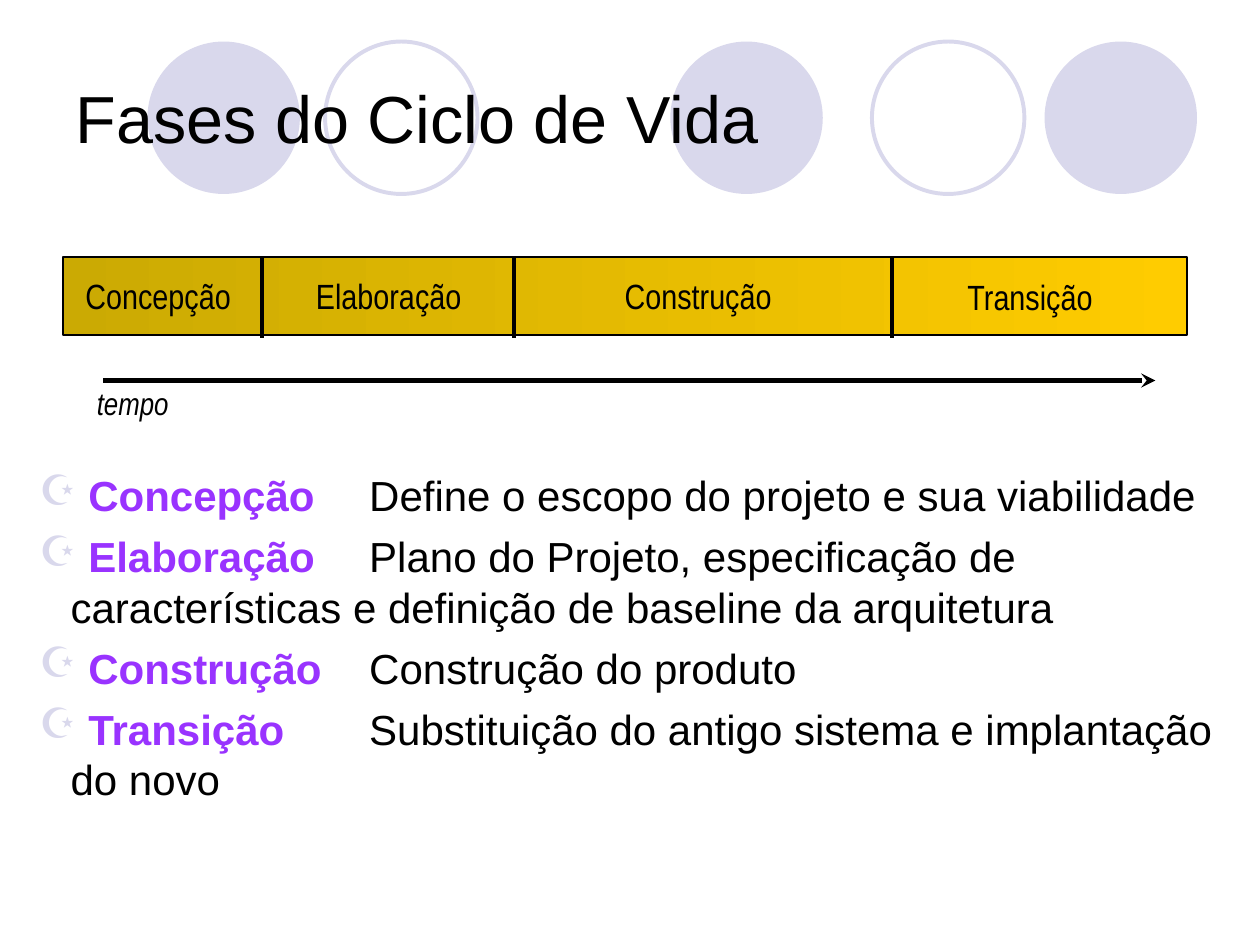
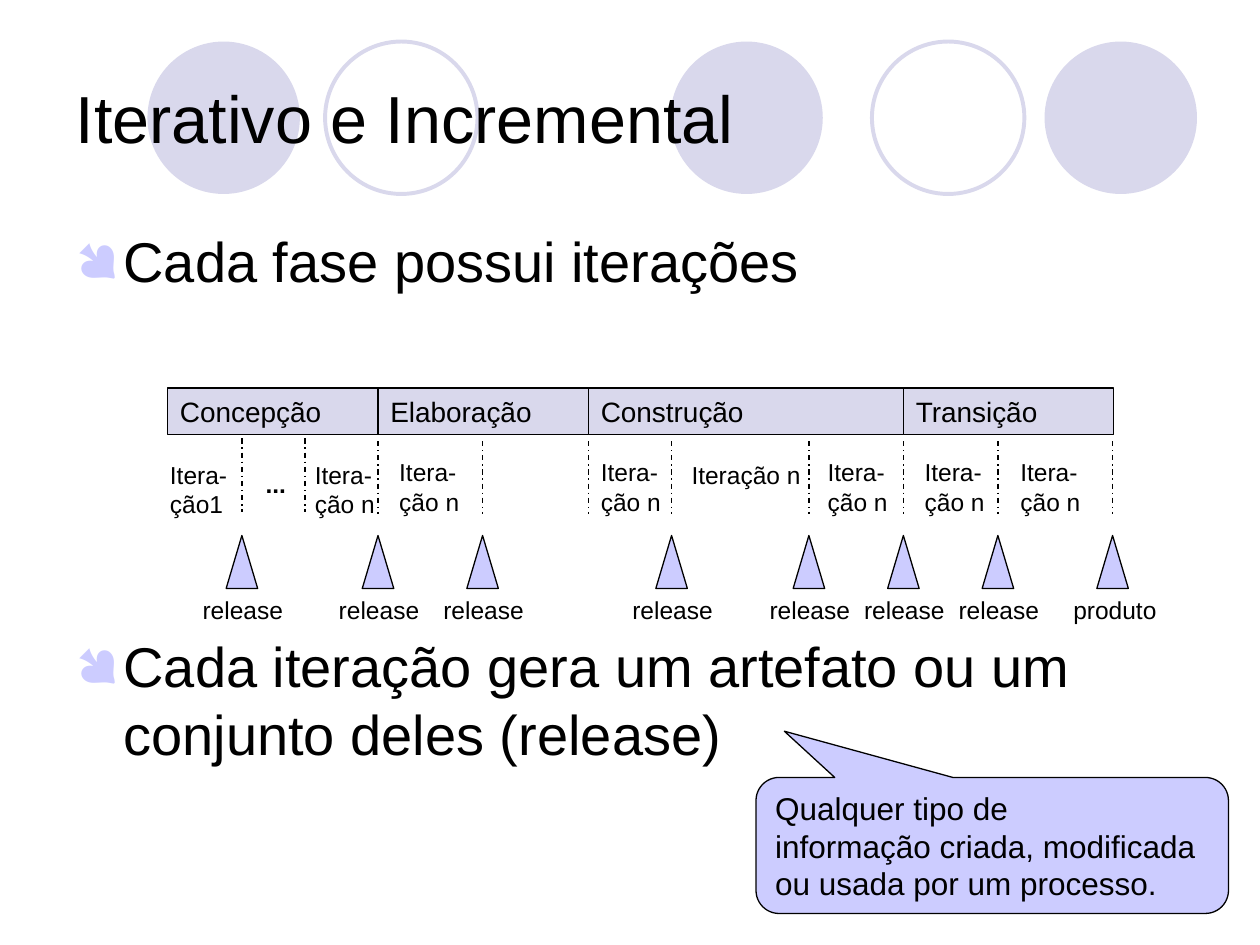
from lxml import etree
from pptx import Presentation
from pptx.dml.color import RGBColor
from pptx.enum.dml import MSO_LINE
from pptx.enum.shapes import MSO_CONNECTOR, MSO_SHAPE
from pptx.enum.text import MSO_ANCHOR, MSO_AUTO_SIZE, PP_ALIGN
from pptx.oxml.ns import qn
from pptx.util import Inches, Pt

STRAIGHT = MSO_CONNECTOR.STRAIGHT
DASH_DOT = MSO_LINE.DASH_DOT
OVAL = MSO_SHAPE.OVAL
RECTANGLE = MSO_SHAPE.RECTANGLE
TRIANGLE = MSO_SHAPE.ISOSCELES_TRIANGLE
CALLOUT = MSO_SHAPE.ROUNDED_RECTANGULAR_CALLOUT
LEFT = PP_ALIGN.LEFT
MIDDLE = MSO_ANCHOR.MIDDLE
NO_AUTOFIT = MSO_AUTO_SIZE.NONE

FONT = "Arial"
NARROW_FONT = "Arial Narrow"
HEX_COLORS = {
    "text": "000000",
    "circle": "D9D8EC",
    "lilac": "CCCCFF",
    "phase": "9933FF",
    "gold_dark": "CBAA03",
    "gold": "FFCC00",
}
COLORS = {name: RGBColor.from_string(value) for name, value in HEX_COLORS.items()}


def write_text(shape, text, size, font=FONT, wrap=False):
    """Fill a shape with left-aligned black text, one paragraph per line."""
    text_frame = shape.text_frame
    text_frame.text = text
    text_frame.word_wrap = wrap
    text_frame.auto_size = NO_AUTOFIT
    for paragraph in text_frame.paragraphs:
        paragraph.alignment = LEFT
        for run in paragraph.runs:
            run.font.name = font
            run.font.size = Pt(size)
            run.font.color.rgb = COLORS["text"]


def add_line(slide, start_x, start_y, end_x, end_y, width):
    line = slide.shapes.add_connector(
        STRAIGHT, Inches(start_x), Inches(start_y), Inches(end_x), Inches(end_y))
    line.line.color.rgb = COLORS["text"]
    line.line.width = Pt(width)
    etree.SubElement(line.element.spPr, qn("a:effectLst"))
    return line


presentation = Presentation()
presentation.slide_width = Inches(10)
presentation.slide_height = Inches(7.5)
layout = presentation.slide_layouts[1]

# Titles
slides = []
for title_text in ("Fases do Ciclo de Vida", "Iterativo e Incremental"):
    slide = presentation.slides.add_slide(layout)
    title = slide.shapes.title
    title.left, title.top = Inches(0.5), Inches(0.3)
    title.width, title.height = Inches(9), Inches(1.25)
    write_text(title, title_text, 38, wrap=True)
    title.text_frame.vertical_anchor = MIDDLE
    slides.append(slide)
phases_slide, iterations_slide = slides

# Circles shared through the slide master
master_tree = presentation.slide_master.element.cSld.spTree
for left, filled in ((5.32, True), (8.29, True), (1.17, True), (6.92, False), (2.58, False)):
    circle = phases_slide.shapes.add_shape(
        OVAL, Inches(left), Inches(0.33), Inches(1.21), Inches(1.21))
    circle.shadow.inherit = False
    if filled:
        circle.fill.solid()
        circle.fill.fore_color.rgb = COLORS["circle"]
        circle.line.fill.background()
    else:
        circle.fill.background()
        circle.line.color.rgb = COLORS["circle"]
        circle.line.width = Pt(2.25)
    master_tree.insert(2, circle.element)

# Slide 1: time arrow and phase bar
arrow = add_line(phases_slide, 0.82, 3.02, 9.17, 3.02, 2.75)
etree.SubElement(arrow.line._get_or_add_ln(), qn("a:tailEnd"), type="stealth")
time_label = phases_slide.shapes.add_textbox(Inches(0.67), Inches(3), Inches(0.77), Inches(0.4))
write_text(time_label, "tempo", 18, NARROW_FONT)
time_label.text_frame.paragraphs[0].runs[0].font.italic = True

phase_bar = phases_slide.shapes.add_shape(
    RECTANGLE, Inches(0.5), Inches(2.04), Inches(8.92), Inches(0.62))
phase_bar.shadow.inherit = False
phase_bar.fill.gradient()
phase_bar.fill.gradient_angle = 0
for stop, color in zip(phase_bar.fill.gradient_stops, ("gold_dark", "gold")):
    stop.color.rgb = COLORS[color]
phase_bar.line.color.rgb = COLORS["text"]
phase_bar.line.width = Pt(0.75)
for x in (2.08, 4.08, 7.08):
    add_line(phases_slide, x, 2.68, x, 2.04, 2)

for phase, left, top, width in (
    ("Concepção", 0.58, 2.13, 1.36),
    ("Elaboração", 2.41, 2.13, 1.36),
    ("Construção", 4.86, 2.13, 1.37),
    ("Transição", 7.58, 2.14, 1.2),
):
    label = phases_slide.shapes.add_textbox(
        Inches(left), Inches(top), Inches(width), Inches(0.43))
    write_text(label, phase, 20, NARROW_FONT)

# Slide 1: phase definitions
definitions = phases_slide.placeholders[1]
definitions.left, definitions.top = Inches(0.19), Inches(3.67)
definitions.width, definitions.height = Inches(9.81), Inches(3.83)
phase_definitions = (
    ("Concepção \t", "Define o escopo do projeto e sua viabilidade"),
    ("Elaboração\t", "Plano do Projeto, especificação de características "
                     "e definição de baseline da arquitetura"),
    ("Construção\t", "Construção do produto"),
    ("Transição\t", "Substituição do antigo sistema e implantação do novo"),
)
write_text(definitions, "\n".join(" " for _ in phase_definitions), 24, wrap=True)
definitions.text_frame.margin_left = definitions.text_frame.margin_right = Inches(0.12)
definitions.text_frame.margin_top = definitions.text_frame.margin_bottom = Inches(0.06)
for paragraph, (phase, definition) in zip(definitions.text_frame.paragraphs, phase_definitions):
    for text, color, bold in ((phase, "phase", True), (definition, "text", False)):
        run = paragraph.add_run()
        run.text = text
        run.font.name = FONT
        run.font.size = Pt(24)
        run.font.bold = bold
        run.font.color.rgb = COLORS[color]

# Slide 2: statements above and below the diagram
statements = iterations_slide.placeholders[1]
statements.left, statements.top = Inches(0.5), Inches(1.75)
statements.width, statements.height = Inches(9), Inches(4.95)
write_text(statements, "Cada fase possui iterações\n"
           "Cada iteração gera um artefato ou um conjunto deles (release)", 32, wrap=True)

# Bullets of both lists
for body, bullet, color, indent, space_before in (
    (definitions, "❚", "circle", 0.25, 6),
    (statements, "●", "lilac", 0.38, 193),
):
    for index, paragraph in enumerate(body.text_frame.paragraphs):
        paragraph.space_before = Pt(space_before if index else 0)
        properties = paragraph._p.get_or_add_pPr()
        properties.set("marL", str(Inches(indent)))
        properties.set("indent", str(-Inches(indent)))
        bullet_color = etree.SubElement(properties, qn("a:buClr"))
        etree.SubElement(bullet_color, qn("a:srgbClr"), val=HEX_COLORS[color])
        etree.SubElement(properties, qn("a:buFont"), typeface="Wingdings")
        etree.SubElement(properties, qn("a:buChar"), char=bullet)
        if body is definitions:
            tabs = etree.SubElement(properties, qn("a:tabLst"))
            etree.SubElement(tabs, qn("a:tab"), pos=str(Inches(2.62)), algn="l")

# Slide 2: phase boxes
for phase, left, width in (
    ("Concepção", 1.33, 1.67),
    ("Elaboração", 3, 1.67),
    ("Construção", 4.67, 2.5),
    ("Transição", 7.17, 1.67),
):
    box = iterations_slide.shapes.add_shape(
        RECTANGLE, Inches(left), Inches(3.08), Inches(width), Inches(0.37))
    box.shadow.inherit = False
    box.fill.solid()
    box.fill.fore_color.rgb = COLORS["circle"]
    box.line.color.rgb = COLORS["text"]
    box.line.width = Pt(0.75)
    write_text(box, phase, 16, wrap=True)

# Slide 2: iteration boundaries and labels
for x in (1.92, 2.42, 3, 3.83, 4.67, 5.33, 6.42, 7.17, 7.92, 8.83):
    top = 3.48 if x < 3 else 3.5
    boundary = add_line(iterations_slide, x, top, x, top + 0.58, 0.75)
    boundary.line.dash_style = DASH_DOT

for text, left, top, width, height in (
    ("Itera-\nção1", 1.25, 3.6, 0.65, 0.57),
    ("...", 2.01, 3.67, 0.36, 0.34),
    ("Itera-\nção n", 2.4, 3.6, 0.67, 0.57),
    ("Itera-\nção n", 3.07, 3.58, 0.67, 0.57),
    ("Itera-\nção n", 4.67, 3.58, 0.67, 0.57),
    ("Iteração n", 5.39, 3.6, 1.06, 0.34),
    ("Itera-\nção n", 6.47, 3.58, 0.67, 0.57),
    ("Itera-\nção n", 7.24, 3.58, 0.67, 0.57),
    ("Itera-\nção n", 8, 3.58, 0.67, 0.57),
):
    label = iterations_slide.shapes.add_textbox(
        Inches(left), Inches(top), Inches(width), Inches(height))
    write_text(label, text, 14)
    if text == "...":
        label.text_frame.paragraphs[0].runs[0].font.bold = True

# Slide 2: release markers
for x in (1.92, 3, 3.83, 5.33, 6.42, 7.17, 7.92, 8.83):
    marker = iterations_slide.shapes.add_shape(
        TRIANGLE, Inches(x - 0.125), Inches(4.25), Inches(0.25), Inches(0.42))
    marker.shadow.inherit = False
    marker.fill.solid()
    marker.fill.fore_color.rgb = COLORS["lilac"]
    marker.line.color.rgb = COLORS["text"]
    marker.line.width = Pt(0.75)
    label = iterations_slide.shapes.add_textbox(
        Inches(x - 0.41), Inches(4.67), Inches(0.84), Inches(0.34))
    write_text(label, "produto" if x == 8.83 else "release", 14)

# Slide 2: callout
callout = iterations_slide.shapes.add_shape(
    CALLOUT, Inches(6), Inches(6.17), Inches(3.75), Inches(1.08))
for index, value in enumerate((-0.44, -0.84, 0.17)):
    callout.adjustments[index] = value
callout.shadow.inherit = False
callout.fill.solid()
callout.fill.fore_color.rgb = COLORS["lilac"]
callout.line.color.rgb = COLORS["text"]
callout.line.width = Pt(0.75)
write_text(callout, "Qualquer tipo de\ninformação criada, modificada\nou usada por um processo.", 18)
callout.text_frame.vertical_anchor = MIDDLE

presentation.save("out.pptx")
